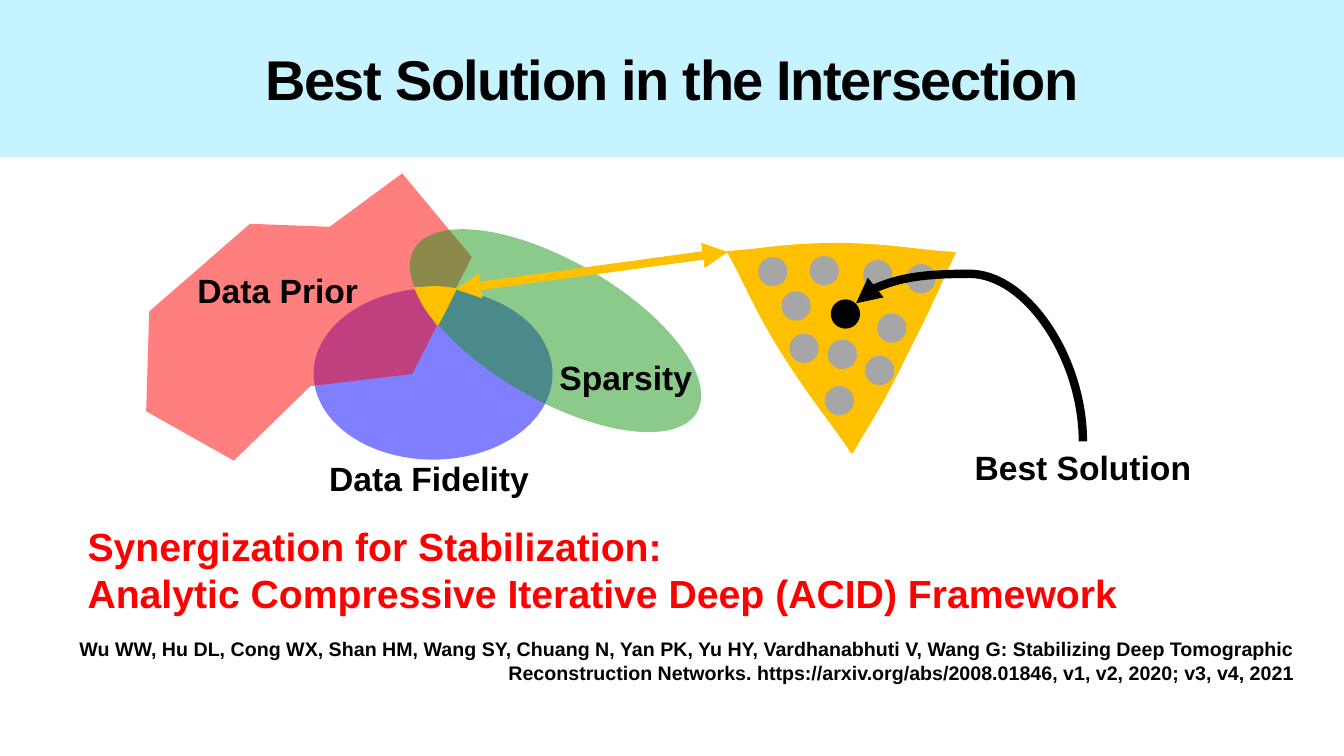
"""Build the slide on finding the best solution in an intersection of constraints."""
from lxml import etree
from pptx import Presentation
from pptx import util as u
from pptx.dml.color import RGBColor
from pptx.enum import shapes, text
from pptx.oxml.ns import qn

PX = u.Inches(1) // 100
FONT = "Arial"
BLACK = RGBColor(0x00, 0x00, 0x00)
RED = RGBColor(0xFF, 0x00, 0x00)
BLUE = RGBColor(0x00, 0x00, 0xFF)
GREEN = RGBColor(0x19, 0x96, 0x19)
GOLD = RGBColor(0xFF, 0xC0, 0x00)
GRAY = RGBColor(0xA6, 0xA6, 0xA6)
SKY = RGBColor(0xC5, 0xF3, 0xFF)
LEFT, CENTER, RIGHT = text.PP_ALIGN.LEFT, text.PP_ALIGN.CENTER, text.PP_ALIGN.RIGHT

HEADLINE = "Best Solution in the Intersection"
HEADLINE_BOX = (0, 0, 1333, 156)
FRAMEWORK = ("Synergization for Stabilization:\n"
             "Analytic Compressive Iterative Deep (ACID) Framework")
CITATION = ("Wu WW, Hu DL, Cong WX, Shan HM, Wang SY, Chuang N, Yan PK, Yu HY, "
            "Vardhanabhuti V, Wang G: Stabilizing Deep Tomographic Reconstruction Networks. "
            "https://arxiv.org/abs/2008.01846, v1, v2, 2020; v3, v4, 2021")
CONSTRAINTS = [
    ("Sparsity", (545, 349, 153, 50), dict(wrap=False)),
    ("Data Prior", (186, 263, 181, 50), dict(wrap=False)),
    ("Data Fidelity", (303, 449, 245, 50), dict(align=CENTER)),
]
ANSWER = [("Best Solution", (937, 438, 274, 50), dict(align=CENTER))]
CLOSING = [
    (CITATION, (62, 627, 1232, 57), dict(size=14, align=RIGHT)),
    (FRAMEWORK, (77, 513, 1126, 104), dict(size=28, color=RED)),
]

FIDELITY_BOX = (311, 286, 237, 170)
SPARSITY_BOX = (482, 166, 138, 324)
PRIOR = [(248, 222), (327, 225), (399, 172), (468, 255), (409, 371),
         (308, 383), (232, 457), (145, 408), (148, 309), (248, 222)]
OVERLAP = [(412, 286),
           (418, 286), (421, 285), (432, 285),
           (442, 285), (445, 286), (452, 287),
           (449, 292), (448, 295), (444, 303),
           (438, 315), (437, 316), (434, 322),
           (430, 316), (427, 313), (421, 304),
           (416, 295), (415, 292), (412, 286)]
ENLARGED = [(722, 250),
            (759, 248), (775, 242), (837, 242),
            (895, 244), (909, 249), (947, 251),
            (932, 281), (926, 299), (903, 343),
            (872, 407), (865, 414), (845, 449),
            (823, 416), (807, 399), (776, 350),
            (745, 300), (741, 283), (722, 250)]
DOT = 29
BEST = (824, 297)
CANDIDATES = [(752, 255), (803, 254), (856, 258), (775, 289), (783, 331),
              (899, 262), (870, 311), (858, 353), (821, 337), (818, 383)]
ZOOM_ARROW = (452, 287, 722, 250)
BEST_ARROW = (893, 482, 1030, 257)
BEST_BULGE = 121400


def emu(lengths):
    return [length * PX for length in lengths]


def write(frame, words, size=24, color=BLACK, align=LEFT, wrap=True):
    frame.text = words
    frame.word_wrap = wrap
    for paragraph in frame.paragraphs:
        paragraph.alignment = align
        for run in paragraph.runs:
            run.font.name, run.font.size = FONT, u.Pt(size)
            run.font.bold, run.font.color.rgb = True, color


def label(slide, wording):
    for words, box, look in wording:
        frame = slide.shapes.add_textbox(*emu(box)).text_frame
        write(frame, words, **look)
        frame.auto_size = text.MSO_AUTO_SIZE.SHAPE_TO_FIT_TEXT


def paint(area, color, opacity=100, edge=0):
    area.shadow.inherit = False
    area.fill.solid()
    area.fill.fore_color.rgb = color
    if opacity < 100:
        tint = area._element.spPr.find(qn("a:solidFill"))[0]
        etree.SubElement(tint, qn("a:alpha"), val=str(opacity * 1000))
    if edge:
        area.line.color.rgb, area.line.width = color, u.Pt(edge)
    else:
        area.line.fill.background()


def ellipse(slide, box, color, opacity=100, turn=0):
    oval = slide.shapes.add_shape(shapes.MSO_SHAPE.OVAL, *emu(box))
    oval.rotation = turn
    paint(oval, color, opacity)


def outline(slide, points, color, **look):
    start, *rest = points
    builder = slide.shapes.build_freeform(*start, scale=PX)
    builder.add_line_segments(rest, close=True)
    area = builder.convert_to_shape()
    paint(area, color, **look)
    return area


def bend(area):
    """Turn each three straight segments into one cubic curve."""
    segments = list(area._element.iter(qn("a:lnTo")))
    for first, second, third in zip(*[iter(segments)] * 3):
        cubic = etree.Element(qn("a:cubicBezTo"))
        first.addprevious(cubic)
        for segment in (first, second, third):
            cubic.append(segment[0])
            segment.getparent().remove(segment)


def arrow(slide, kind, ends, color, tips):
    link = slide.shapes.add_connector(kind, *emu(ends))
    link.line.color.rgb, link.line.width = color, u.Pt(6)
    properties = link._element.spPr
    for tip in tips:
        etree.SubElement(properties.find(qn("a:ln")), qn(tip), type="triangle")
    etree.SubElement(properties, qn("a:effectLst"))
    return properties


def main():
    deck = Presentation()
    deck.slide_width, deck.slide_height = emu((1333, 750))
    slide = deck.slides.add_slide(deck.slide_layouts[5])

    title = slide.shapes.title
    title.left, title.top, title.width, title.height = emu(HEADLINE_BOX)
    title.fill.solid()
    title.fill.fore_color.rgb = SKY
    write(title.text_frame, HEADLINE, size=40, align=CENTER)
    title.text_frame.auto_size = text.MSO_AUTO_SIZE.NONE
    title.text_frame.vertical_anchor = text.MSO_ANCHOR.MIDDLE
    title.text_frame.paragraphs[0].runs[0].font._element.set("spc", "-100")

    ellipse(slide, FIDELITY_BOX, BLUE, opacity=50, turn=180)
    outline(slide, PRIOR, RED, opacity=50)
    ellipse(slide, SPARSITY_BOX, GREEN, opacity=50, turn=120)
    label(slide, CONSTRAINTS)
    for patch in (OVERLAP, ENLARGED):
        bend(outline(slide, patch, GOLD, edge=1.5))
    arrow(slide, shapes.MSO_CONNECTOR.STRAIGHT, ZOOM_ARROW, GOLD, ("a:headEnd", "a:tailEnd"))

    ellipse(slide, (*BEST, DOT, DOT), BLACK)
    for candidate in CANDIDATES:
        ellipse(slide, (*candidate, DOT, DOT), GRAY)
    label(slide, ANSWER)
    pointer = arrow(slide, shapes.MSO_CONNECTOR.CURVE, BEST_ARROW, BLACK, ("a:tailEnd",))
    pointer.find(qn("a:xfrm")).set("rot", str(270 * 60000))
    guides = pointer.find(qn("a:prstGeom")).find(qn("a:avLst"))
    etree.SubElement(guides, qn("a:gd"), name="adj1", fmla=f"val {BEST_BULGE}")
    label(slide, CLOSING)

    deck.save("out.pptx")


if __name__ == "__main__":
    main()
